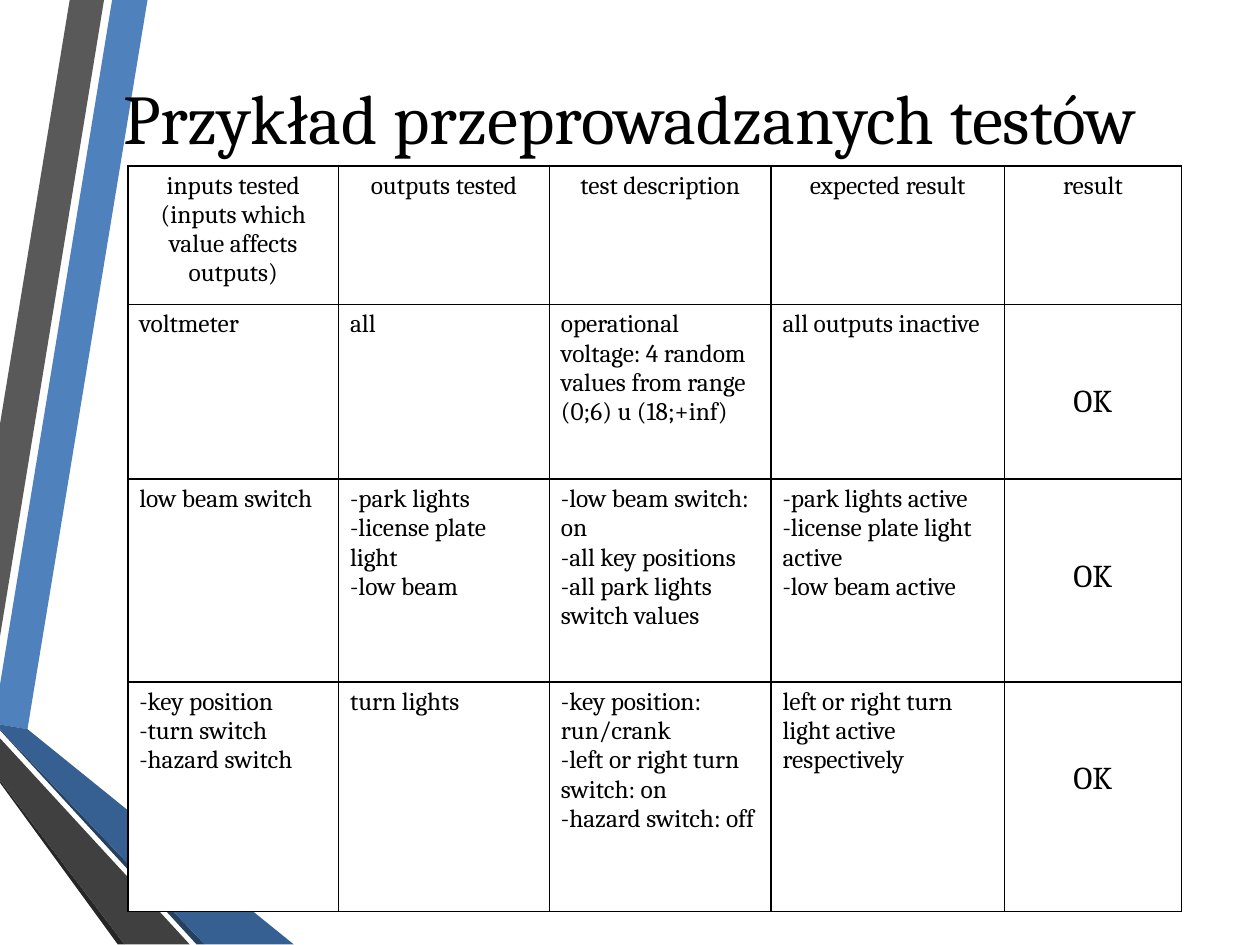
from dataclasses import dataclass

from lxml import etree
from pptx import Presentation
from pptx.dml.color import RGBColor
from pptx.enum.text import MSO_ANCHOR, PP_ALIGN
from pptx.oxml.ns import qn
from pptx.util import Pt

LEFT, CENTER = PP_ALIGN.LEFT, PP_ALIGN.CENTER
MIDDLE = MSO_ANCHOR.MIDDLE


@dataclass(frozen=True)
class Theme:
    font: str = "Cambria"
    title_size: float = 44
    body_size: float = 16
    result_size: float = 20
    border_width: float = 1
    text: str = "000000"
    background: str = "FFFFFF"
    blue: str = "4F81BD"
    blue_dark: str = "376092"
    blue_edge: str = "254061"
    gray: str = "595959"
    gray_dark: str = "404040"
    gray_edge: str = "262626"


THEME = Theme()
SLIDE_WIDTH, SLIDE_HEIGHT = 793.5, 595.4

# Ribbon outlines in points, from back to front
RIBBONS = [
    (THEME.blue, [(0, 431.3), (0, 456.5), (17.3, 459.4), (92.9, 0), (70.6, 0)]),
    (THEME.gray, [(65.5, 0), (43.9, 0), (0, 267.1), (0, 401)]),
    (THEME.gray_edge, [(0, 491.8), (0, 493.2), (74.2, 595), (78.5, 595)]),
    (THEME.blue_edge, [(0, 459.4), (0, 460.1), (123.8, 595), (128.9, 595)]),
    (THEME.blue_dark, [(0, 459.4), (128.9, 595), (185, 595), (17.3, 459.4), (0, 456.5)]),
    (THEME.gray_dark, [(0, 491.8), (78.5, 595), (119.5, 595), (0, 465.1)]),
]

COLUMN_WIDTHS = [132.8, 132.8, 139.6, 146.8, 111.8]
ROW_HEIGHTS = [87.2, 110.2, 127.8, 144.8]
RESULT_OFFSET = 50
TESTS = [
    ["inputs tested (inputs which value affects outputs)", "outputs tested",
     "test description", "expected result", "result"],
    ["voltmeter", "all",
     "operational voltage: 4 random values from range (0;6) u (18;+inf)",
     "all outputs inactive", "OK"],
    ["low beam switch", "-park lights\n-license plate light\n-low beam",
     "-low beam switch: on\n-all key positions\n-all park lights switch values",
     "-park lights active\n-license plate light active\n-low beam active", "OK"],
    ["-key position\n-turn switch\n-hazard switch", "turn lights",
     "-key position: run/crank\n-left or right turn switch: on\n-hazard switch: off",
     "left or right turn light active respectively", "OK"],
]


def set_text(text_frame, text, size, alignment):
    text_frame.word_wrap = True
    text_frame.text = text
    for paragraph in text_frame.paragraphs:
        paragraph.alignment = alignment
        for run in paragraph.runs:
            run.font.name = THEME.font
            run.font.size = Pt(size)
            run.font.color.rgb = RGBColor.from_string(THEME.text)


def set_borders(cell):
    properties = cell._tc.get_or_add_tcPr()
    for index, side in enumerate(("lnL", "lnR", "lnT", "lnB")):
        line = etree.Element(qn(f"a:{side}"), w=str(Pt(THEME.border_width)))
        fill = etree.SubElement(line, qn("a:solidFill"))
        etree.SubElement(fill, qn("a:srgbClr"), val=THEME.text)
        properties.insert(index, line)


def add_ribbons(slide, left, top):
    for color, outline in RIBBONS:
        points = [(Pt(left + x), Pt(top + y)) for x, y in outline]
        builder = slide.shapes.build_freeform(*points[0])
        builder.add_line_segments(points[1:], close=True)
        shape = builder.convert_to_shape()
        shape.shadow.inherit = False
        shape.fill.solid()
        shape.fill.fore_color.rgb = RGBColor.from_string(color)
        shape.line.fill.background()


def add_title(slide, left, top, width, height):
    box = slide.shapes.add_textbox(Pt(left), Pt(top), Pt(width), Pt(height))
    frame = box.text_frame
    frame.margin_left = frame.margin_right = frame.margin_top = frame.margin_bottom = 0
    frame.vertical_anchor = MIDDLE
    set_text(frame, "Przykład przeprowadzanych testów", THEME.title_size, CENTER)


def add_test_table(slide, left, top, width, height):
    table = slide.shapes.add_table(
        len(ROW_HEIGHTS), len(COLUMN_WIDTHS), Pt(left), Pt(top), Pt(width), Pt(height)
    ).table
    table.first_row = table.horz_banding = False
    for column, column_width in zip(table.columns, COLUMN_WIDTHS):
        column.width = Pt(column_width)
    for row, row_height in zip(table.rows, ROW_HEIGHTS):
        row.height = Pt(row_height)

    for row_index, row_texts in enumerate(TESTS):
        for column_index, text in enumerate(row_texts):
            cell = table.cell(row_index, column_index)
            is_header = row_index == 0
            is_result = not is_header and column_index == len(COLUMN_WIDTHS) - 1
            size = THEME.result_size if is_result else THEME.body_size
            set_text(cell.text_frame, text, size, CENTER if is_header or is_result else LEFT)
            if is_result:
                cell.margin_top = Pt(RESULT_OFFSET)
            cell.fill.solid()
            cell.fill.fore_color.rgb = RGBColor.from_string(THEME.background)
            set_borders(cell)


def main():
    presentation = Presentation()
    presentation.slide_width = Pt(SLIDE_WIDTH)
    presentation.slide_height = Pt(SLIDE_HEIGHT)
    slide = presentation.slides.add_slide(presentation.slide_layouts[6])
    slide.background.fill.solid()
    slide.background.fill.fore_color.rgb = RGBColor.from_string(THEME.background)

    add_ribbons(slide, 0, 0)
    add_title(slide, 39.6, 23.8, 714.2, 99.4)
    add_test_table(slide, 80.5, 104.5, sum(COLUMN_WIDTHS), sum(ROW_HEIGHTS))
    presentation.save("out.pptx")


if __name__ == "__main__":
    main()
